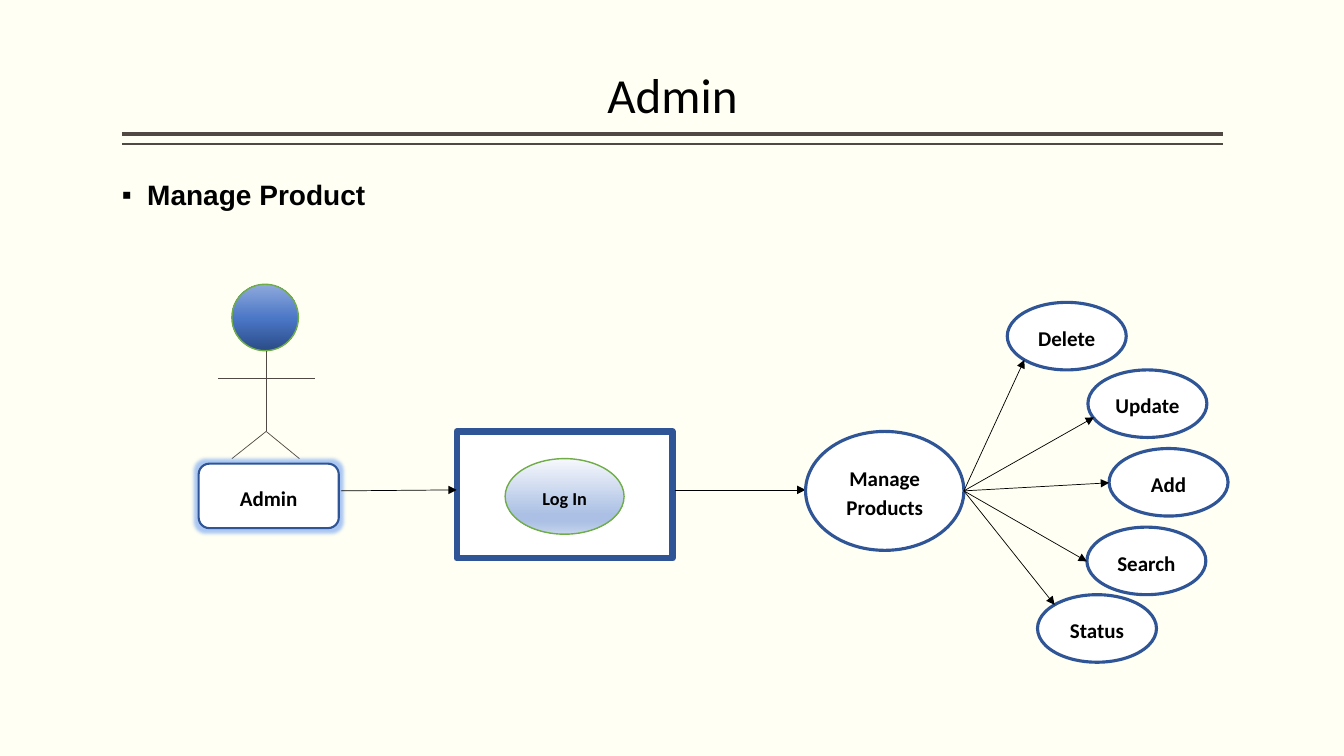
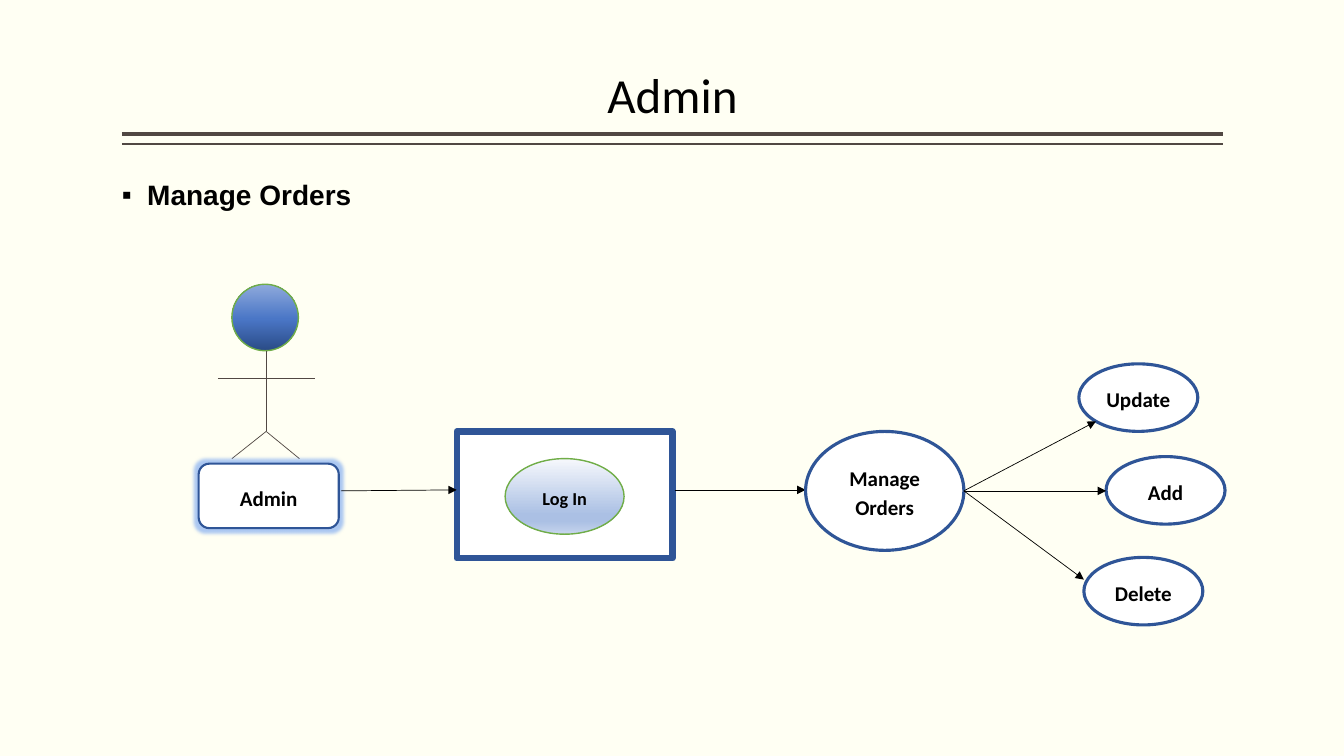
import lxml.etree
import pptx
import pptx.dml.color
import pptx.enum.shapes
import pptx.enum.text
import pptx.oxml.ns
import pptx.util

Inches = pptx.util.Inches
Pt = pptx.util.Pt
qn = pptx.oxml.ns.qn
FORM = pptx.enum.shapes.MSO_SHAPE
ALIGN = pptx.enum.text.PP_ALIGN
ANCHOR = pptx.enum.text.MSO_ANCHOR

# Shared colours and measures
CREAM, WHITE, BLACK = "FFFFF3", "FFFFFF", "000000"
BROWN, BLUE, GREEN, GLOW = "514843", "2F5597", "70AD47", "2E75F0"
HEAD = [(0, "2A4B86"), (48, "4A76C6"), (100, "8FAADC")]
PALE = [(0, "F6F8FC"), (74, "ABC0E4"), (83, "ABC0E4"), (100, "C7D5ED")]
LEFT, WIDE = 1.21, 10.92
HUB = (9.56, 4.87)

# Where an arrow meets an action oval, measured from the oval's corner
SIDE, LOW, HIGH = (0, 0.34), (0.17, 0.57), (0.17, 0.1)

SLIDES = [
    ("Manage Product", "Manage\nProducts", [
        ("Delete", 9.99, 3, LOW),
        ("Update", 10.79, 3.67, (0.06, 0.47)),
        ("Add", 11, 4.45, SIDE),
        ("Search", 10.78, 5.23, SIDE),
        ("Status", 10.29, 5.9, HIGH),
    ]),
    ("Manage Orders", "Manage\nOrders", [
        ("Update", 10.7, 3.61, LOW),
        ("Add", 10.97, 4.53, SIDE),
        ("Delete", 10.75, 5.53, (0, 0.22)),
    ]),
]


def tint(code):
    return pptx.dml.color.RGBColor.from_string(code)


def node(parent, tag, **attrs):
    return lxml.etree.SubElement(parent, qn(tag), attrs)


def write(shape, text, size=15, font="Calibri", bold=True, space=1.15,
          align=ALIGN.CENTER, anchor=ANCHOR.MIDDLE, pad=0, bullet=None):
    frame = shape.text_frame
    frame.word_wrap = True
    frame.vertical_anchor = anchor
    frame.margin_left = frame.margin_right = 0
    frame.margin_top = frame.margin_bottom = Inches(pad)
    frame.text = text
    for para in frame.paragraphs:
        para.alignment = align
        para.line_spacing = space
        if bullet:
            props = para._p.get_or_add_pPr()
            props.set("marL", str(Inches(0.25)))
            props.set("indent", str(Inches(-0.25)))
            node(props, "a:buFont", typeface="Arial")
            node(props, "a:buChar", char=bullet)
        para.font.name = font
        para.font.size = Pt(size)
        para.font.bold = bold
        para.font.color.rgb = tint(BLACK)


def label(slide, text, x, y, w, h, **style):
    box = slide.shapes.add_textbox(Inches(x), Inches(y), Inches(w), Inches(h))
    write(box, text, **style)


def blend(shape, stops, angle):
    shape.fill.gradient()
    shape.fill.gradient_angle = angle
    chain = shape._element.spPr.find(".//" + qn("a:gsLst"))
    for stop in list(chain):
        chain.remove(stop)
    for place, code in stops:
        stop = node(chain, "a:gs", pos=str(place * 1000))
        node(stop, "a:srgbClr", val=code)


def block(slide, form, x, y, w, h, edge=BLUE, width=2.25):
    shape = slide.shapes.add_shape(form, Inches(x), Inches(y), Inches(w), Inches(h))
    shape.shadow.inherit = False
    shape.fill.solid()
    shape.fill.fore_color.rgb = tint(WHITE)
    shape.line.color.rgb = tint(edge)
    shape.line.width = Pt(width)
    return shape


def shine(shape):
    effects = shape._element.spPr.find(qn("a:effectLst"))
    glow = node(effects, "a:glow", rad=str(Pt(5)))
    node(node(glow, "a:srgbClr", val=GLOW), "a:alpha", val="40000")


def stroke(slide, start, end, color=BROWN, width=0.5, arrow=False):
    line = slide.shapes.add_connector(
        pptx.enum.shapes.MSO_CONNECTOR.STRAIGHT, *map(Inches, start + end))
    line.line.color.rgb = tint(color)
    line.line.width = Pt(width)
    props = line._element.spPr
    if arrow:
        node(props.find(qn("a:ln")), "a:tailEnd", type="triangle")
    node(props, "a:effectLst")


def point(slide, start, end):
    stroke(slide, start, end, color=BLACK, arrow=True)


def header(slide, title, topic):
    for y, width in [(1.33, 3), (1.43, 1)]:
        stroke(slide, (LEFT, y), (LEFT + WIDE, y), width=width)
    label(slide, title, LEFT, 0.08, WIDE, 1.2, size=35, bold=False,
          space=0.9, anchor=ANCHOR.BOTTOM, pad=0.05)
    label(slide, topic, LEFT, 1.75, WIDE, 0.5, size=20, font="Arial", space=0.9,
          align=ALIGN.LEFT, anchor=ANCHOR.TOP, pad=0.05, bullet="▪")


def actor(slide, name):
    head = block(slide, FORM.OVAL, 2.3, 2.82, 0.66, 0.66, edge=GREEN, width=1)
    blend(head, HEAD, 90)
    hip = (2.64, 4.28)
    stroke(slide, (2.64, 3.48), hip)
    stroke(slide, (2.16, 3.75), (3.12, 3.75))
    for foot in (2.3, 2.97):
        stroke(slide, hip, (foot, 4.55))
    badge = block(slide, FORM.ROUNDED_RECTANGLE, 1.97, 4.6, 1.39, 0.64, width=1.5)
    shine(badge)
    write(badge, name)


def login(slide):
    block(slide, FORM.RECTANGLE, 4.53, 4.28, 2.14, 1.26, width=4.5)
    oval = block(slide, FORM.OVAL, 5.01, 4.55, 1.18, 0.75, edge=GREEN, width=1)
    blend(oval, PALE, 270)
    write(oval, "Log In", size=13)
    point(slide, (3.38, 4.87), (4.53, 4.86))
    point(slide, (6.69, 4.86), (7.99, 4.86))


def fan(slide, task, acts):
    write(block(slide, FORM.OVAL, 7.99, 4.28, 1.57, 1.18), task)
    for name, x, y, (dx, dy) in acts:
        write(block(slide, FORM.OVAL, x, y, 1.18, 0.67), name)
        point(slide, HUB, (x + dx, y + dy))


def main():
    deck = pptx.Presentation()
    deck.slide_width, deck.slide_height = Inches(13.33), Inches(7.5)
    ground = deck.slide_master.background.fill
    ground.solid()
    ground.fore_color.rgb = tint(CREAM)
    for topic, task, acts in SLIDES:
        slide = deck.slides.add_slide(deck.slide_layouts[6])
        header(slide, "Admin", topic)
        actor(slide, "Admin")
        login(slide)
        fan(slide, task, acts)
    deck.save("out.pptx")


if __name__ == "__main__":
    main()
